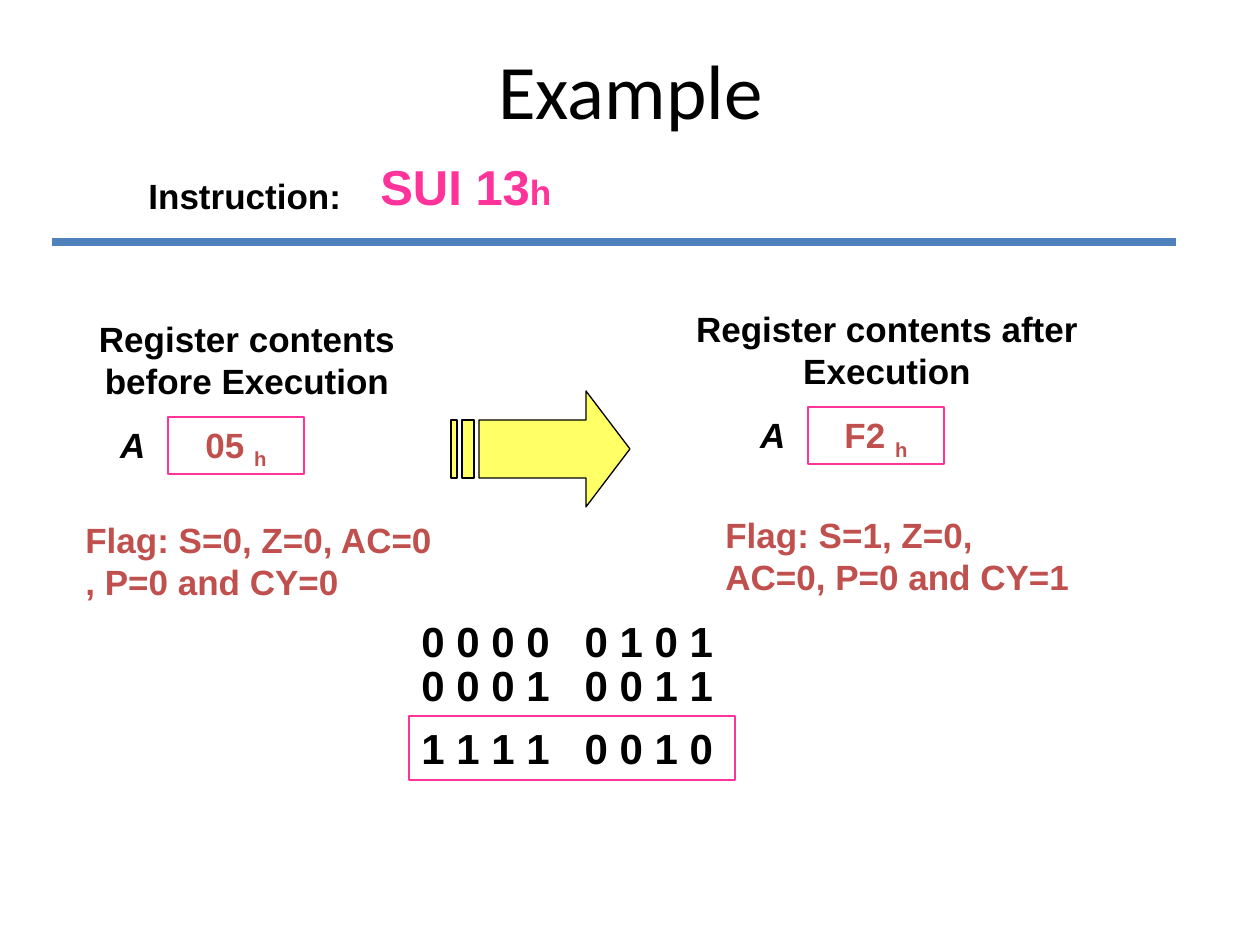
from dataclasses import dataclass
from lxml.etree import SubElement
from pptx import Presentation
from pptx.dml.color import RGBColor
from pptx.enum.shapes import MSO_CONNECTOR, MSO_SHAPE
from pptx.enum.text import MSO_ANCHOR, PP_ALIGN
from pptx.oxml.ns import qn
from pptx.slide import Slide
from pptx.util import Emu, Inches, Pt

BLACK = RGBColor(0x00, 0x00, 0x00)
PINK = RGBColor(0xFF, 0x33, 0x99)
RED = RGBColor(0xC0, 0x50, 0x4D)
BLUE = RGBColor(0x4F, 0x81, 0xBD)
YELLOW = RGBColor(0xFF, 0xFF, 0x66)
SCALE = 914400 / 126


def px(n: int) -> Emu:
    return Emu(round(n * SCALE))


@dataclass
class Label:
    text: str
    x: int
    y: int
    w: int
    h: int
    size: int = 20
    color: RGBColor = BLACK
    align: PP_ALIGN = PP_ALIGN.LEFT
    slant: bool = False
    edge: float = 0
    tail: str = ""
    small: int = 20
    base: int = 0


@dataclass
class Panel:
    x: int
    y: int
    head: str
    value: str
    flag: str
    drop: int


def apply(item: object, form: dict) -> None:
    for key, value in form.items():
        setattr(item, key, value)


def draw_label(slide: Slide, label: Label) -> None:
    area = [px(n) for n in (label.x, label.y, label.w, label.h)]
    if label.edge:
        shape = slide.shapes.add_shape(MSO_SHAPE.RECTANGLE, *area)
        shape.shadow.inherit = False
        shape.fill.background()
        shape.line.color.rgb = PINK
        shape.line.width = Pt(label.edge)
    else:
        shape = slide.shapes.add_textbox(*area)
    frame = shape.text_frame
    apply(frame, {"word_wrap": True, "vertical_anchor": MSO_ANCHOR.TOP})
    para = frame.paragraphs[0]
    para.alignment = label.align
    for text, size, base in ((label.text, label.size, 0),
                             (label.tail, label.small, label.base)):
        if not text:
            continue
        run = para.add_run()
        run.text = text
        apply(run.font, {"name": "Arial", "size": Pt(size), "bold": True,
                         "italic": label.slant})
        run.font.color.rgb = label.color
        if base:
            run.font._element.set("baseline", str(base * 1000))


def draw_panel(slide: Slide, panel: Panel) -> None:
    x, y = panel.x, panel.y
    mid = PP_ALIGN.CENTER
    for label in (
        Label(panel.head, x, y, 410, 97, align=mid),
        Label(panel.value, x + 126, y + 106, 136, 57, color=RED, align=mid,
              edge=1.5, tail="h", base=-25),
        Label("A", x, y + 106, 116, 54, align=PP_ALIGN.RIGHT, slant=True),
        Label(panel.flag, x + 31, y + panel.drop, 378, 97, color=RED),
    ):
        draw_label(slide, label)


def draw_arrow(slide: Slide) -> None:
    top, low = 420, 478
    build = slide.shapes.build_freeform(586, 391, SCALE)
    build.add_line_segments([(586, top), (479, top), (479, low), (586, low),
                             (586, 507), (630, 449)])
    for left, right in ((462, 474), (451, 457)):
        build.move_to(left, top)
        build.add_line_segments([(left, low), (right, low), (right, top)])
    arrow = build.convert_to_shape()
    arrow.shadow.inherit = False
    arrow.fill.solid()
    arrow.fill.fore_color.rgb = YELLOW
    arrow.line.color.rgb = BLACK
    arrow.line.width = Pt(0.75)


def draw_rule(slide: Slide) -> None:
    rule = slide.shapes.add_connector(
        MSO_CONNECTOR.STRAIGHT, px(52), px(242), px(1176), px(242))
    rule.line.color.rgb = BLUE
    rule.line.width = Pt(4.5)
    SubElement(rule._element.spPr, qn("a:effectLst"))


def draw_title(slide: Slide) -> None:
    title = slide.shapes.title
    apply(title, {"left": px(95), "top": px(10), "width": px(1071),
                  "height": px(158)})
    title.text_frame.text = "Example"
    title.text_frame.vertical_anchor = MSO_ANCHOR.MIDDLE
    para = title.text_frame.paragraphs[0]
    para.alignment = PP_ALIGN.CENTER
    font = para.runs[0].font
    apply(font, {"name": "Calibri", "size": Pt(44)})
    font.color.rgb = BLACK


LABELS = [
    Label("Instruction:", 136, 168, 231, 54),
    Label("SUI 13", 368, 150, 273, 72, size=28, color=PINK, tail="h"),
    Label("0 0 0 0   0 1 0 1", 409, 609, 368, 64, size=24),
    Label("0 0 0 1   0 0 1 1", 409, 653, 368, 64, size=24),
    Label("1 1 1 1   0 0 1 0", 409, 716, 326, 64, size=24, edge=0.75),
]
PANELS = [
    Panel(42, 311, "Register contents before Execution", "05 ",
          "Flag: S=0, Z=0, AC=0 , P=0 and CY=0", 201),
    Panel(682, 301, "Register contents after Execution", "F2 ",
          "Flag: S=1, Z=0, AC=0, P=0 and CY=1", 206),
]


def main() -> None:
    deck = Presentation()
    apply(deck, {"slide_width": Inches(10), "slide_height": Inches(7.5)})
    slide = deck.slides.add_slide(deck.slide_layouts[5])
    draw_title(slide)
    draw_rule(slide)
    draw_arrow(slide)
    for panel in PANELS:
        draw_panel(slide, panel)
    for label in LABELS:
        draw_label(slide, label)
    deck.save("out.pptx")


if __name__ == "__main__":
    main()
